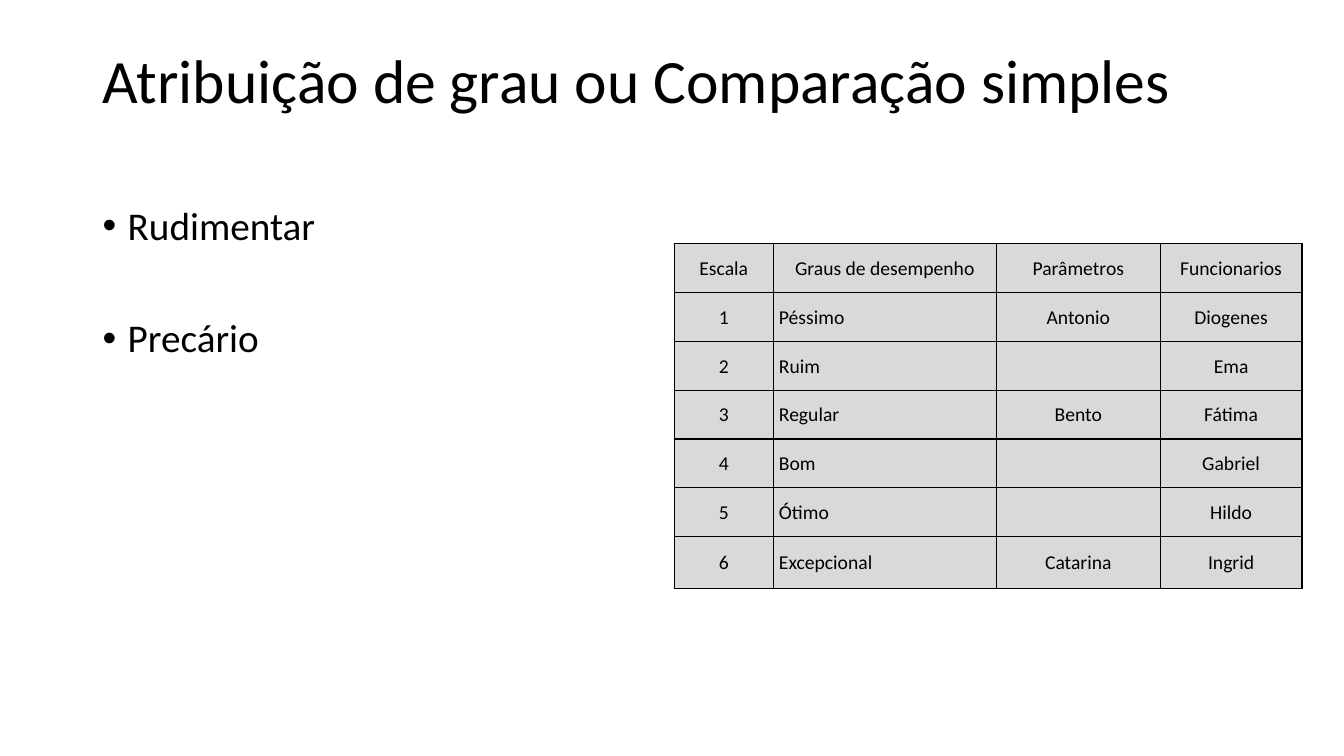
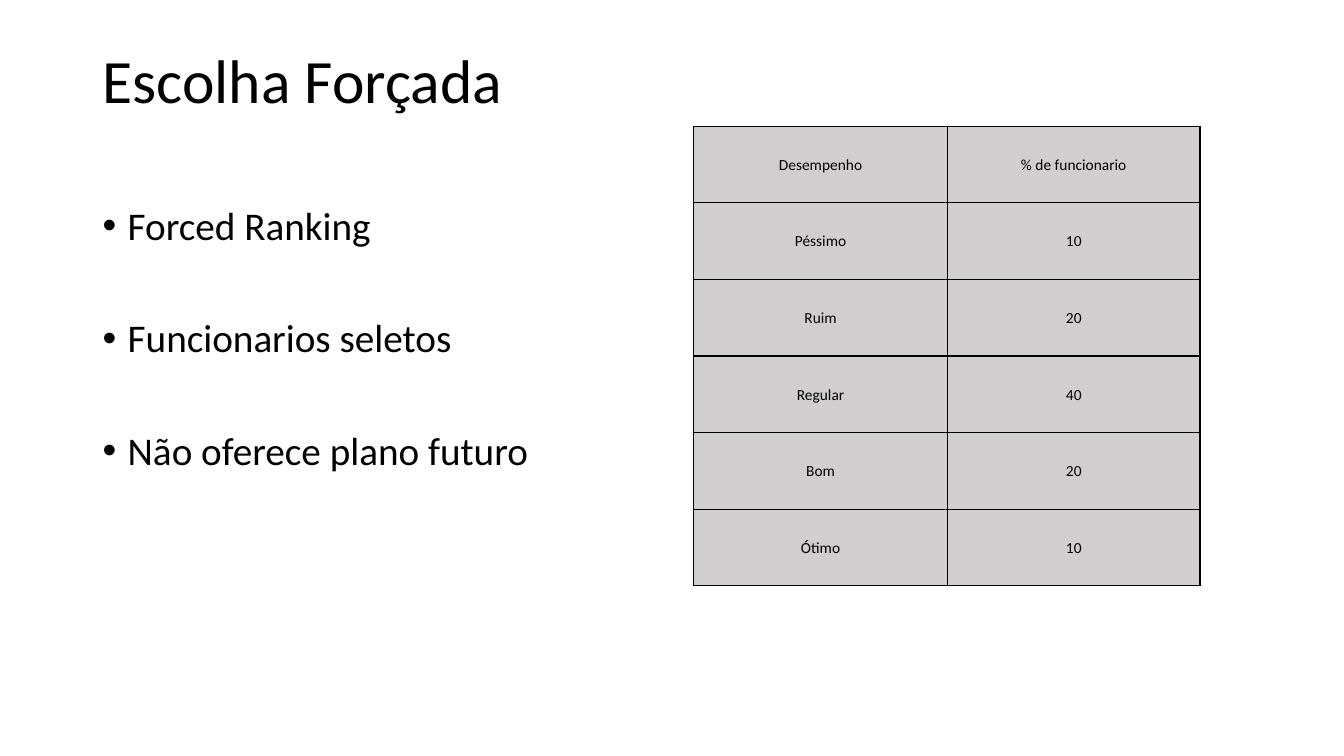
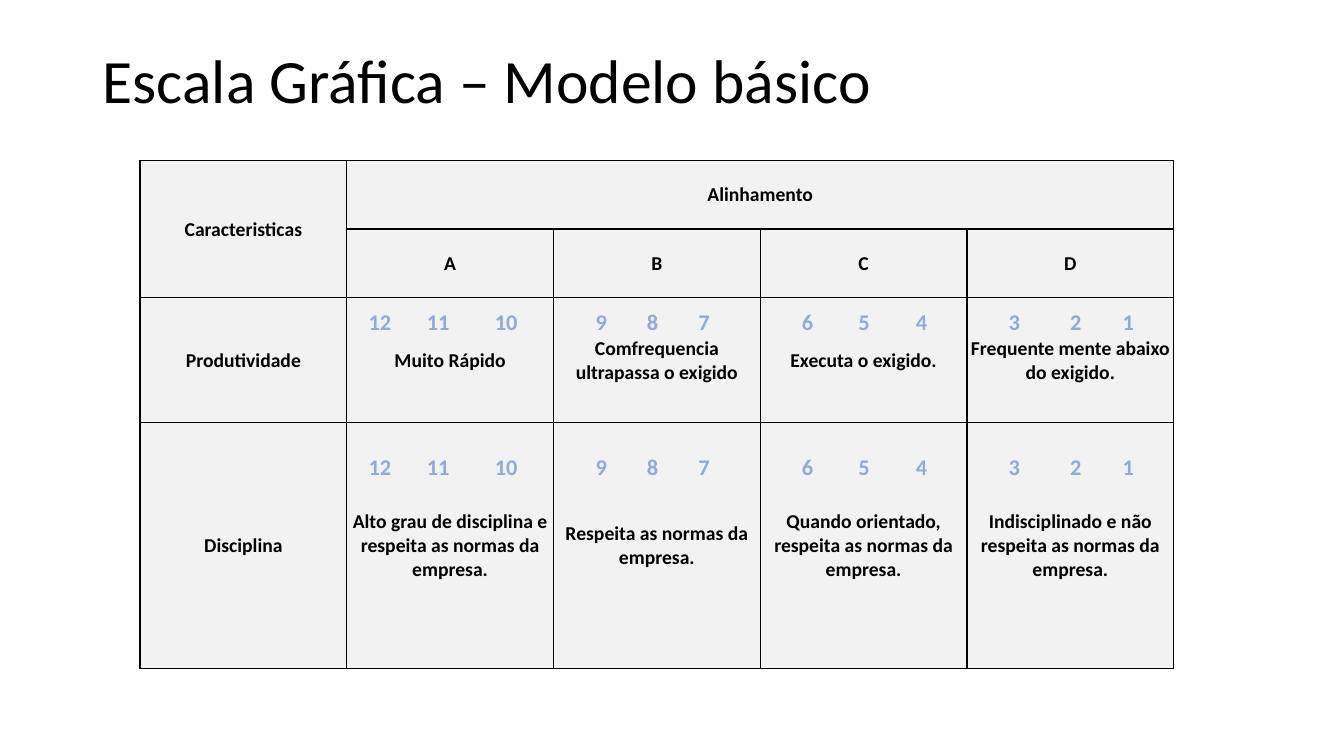
from lxml.etree import SubElement
from pptx import Presentation
from pptx.dml.color import RGBColor
from pptx.enum.text import MSO_ANCHOR, PP_ALIGN
from pptx.oxml.ns import qn
from pptx.util import Cm, Pt

FONT = "Calibri"
COLORS = {"text": "000000", "border": "000000", "score": "8FAADC",
          "grades": "D9D9D9", "ranking": "D0CECE", "scale": "F2F2F2"}

# Boxes are left, top, width, height in cm
TITLE_BOX = (2.34, 1.02, 28.75, 2.16)
BODY_BOX = (2.34, 5.08, 29.21, 12.09)

SCORES = [str(n) for n in range(12, 0, -1)]
SCORE_TABS = [1.47, 3.18, 5.72, 7.01, 8.31, 10.92,
              12.34, 13.79, 16.13, 17.68, 19]
SCORE_LEFT, SCORE_WIDTH, SCORE_HEIGHT = 9.04, 19.81, 0.94

SLIDES = [
    {"title": "Atribuição de grau ou Comparação simples",
     "bullets": ["Rudimentar", "Precário"],
     "table": {
         "at": (16.99, 6.14), "cols": [2.5, 5.62, 4.13, 3.57],
         "heights": [1.23] * 6 + [1.3], "fill": "grades", "size": 14,
         "left_col": 1,
         "rows": [
             ("Escala", "Graus de desempenho", "Parâmetros", "Funcionarios"),
             ("1", "Péssimo", "Antonio", "Diogenes"),
             ("2", "Ruim", "", "Ema"),
             ("3", "Regular", "Bento", "Fátima"),
             ("4", "Bom", "", "Gabriel"),
             ("5", "Ótimo", "", "Hildo"),
             ("6", "Excepcional", "Catarina", "Ingrid")]}},
    {"title": "Escolha Forçada",
     "bullets": ["Forced Ranking", "Funcionarios seletos",
                 "Não oferece plano futuro"],
     "table": {
         "at": (17.48, 3.18), "cols": [6.4, 6.36],
         "heights": [1.93] * 6, "fill": "ranking", "size": 11,
         "rows": [
             ("Desempenho", "% de funcionario"),
             ("Péssimo", "10"), ("Ruim", "20"), ("Regular", "40"),
             ("Bom", "20"), ("Ótimo", "10")]}},
    {"title": "Escala Gráfica – Modelo básico",
     "table": {
         "at": (3.53, 4.04), "cols": [5.21] * 5,
         "heights": [1.73, 1.73, 3.14, 6.2], "fill": "scale", "size": 14,
         "bold": True, "merges": [(0, 0, 1, 0), (0, 1, 0, 4)],
         "rows": [
             ("Caracteristicas", "Alinhamento", "", "", ""),
             ("", "A", "B", "C", "D"),
             ("Produtividade", "Muito Rápido",
              "Comfrequencia ultrapassa o exigido", "Executa o exigido.",
              "Frequente mente abaixo do exigido."),
             ("Disciplina",
              "Alto grau de disciplina e respeita as normas da empresa.",
              "Respeita as normas da empresa.",
              "Quando orientado, respeita as normas da empresa.",
              "Indisciplinado e não respeita as normas da empresa.")]},
     "score_tops": [7.65, 11.3]},
]


def rgb(name):
    """Return a palette colour."""
    return RGBColor.from_string(COLORS[name])


def write(p, text, size=14, color="text", bold=False, align=PP_ALIGN.LEFT,
          spacing=None, before=None):
    """Put formatted text in a paragraph."""
    p.alignment = align
    p.line_spacing = spacing
    if before is not None:
        p.space_before = Pt(before)
    r = p.add_run()
    r.text = text
    r.font.name, r.font.size, r.font.bold = FONT, Pt(size), bold
    r.font.color.rgb = rgb(color)


def add_box(s, box, anchor=MSO_ANCHOR.TOP):
    """Add a wrapping text box and return its text frame."""
    tf = s.shapes.add_textbox(*map(Cm, box)).text_frame
    tf.word_wrap = True
    tf.vertical_anchor = anchor
    return tf


def add_title(s, text):
    """Add the slide title."""
    tf = add_box(s, TITLE_BOX, MSO_ANCHOR.MIDDLE)
    write(tf.paragraphs[0], text, size=44, spacing=0.9)


def add_bullets(s, items):
    """Add the widely spaced bullet list."""
    tf = add_box(s, BODY_BOX)
    for i, item in enumerate(items):
        p = tf.add_paragraph() if i else tf.paragraphs[0]
        write(p, item, size=28, spacing=0.9, before=50 if i else 10)
        pPr = p._p.get_or_add_pPr()
        pPr.set("marL", str(Cm(0.63)))
        pPr.set("indent", str(-Cm(0.63)))
        SubElement(pPr, qn("a:buFont"), typeface="Arial")
        SubElement(pPr, qn("a:buChar"), char="•")


def add_scores(s, top):
    """Add one row of scores set on tab stops."""
    tf = add_box(s, (SCORE_LEFT, top, SCORE_WIDTH, SCORE_HEIGHT))
    tf.margin_right = 0
    p = tf.paragraphs[0]
    write(p, "\t".join(SCORES), size=16, color="score", bold=True)
    tabs = SubElement(p._p.get_or_add_pPr(), qn("a:tabLst"))
    for pos in SCORE_TABS:
        SubElement(tabs, qn("a:tab"), pos=str(Cm(pos)), algn="l")


def style_cell(cell, fill):
    """Set the borders, fill, margins and anchor of a cell."""
    tcPr = cell._tc.get_or_add_tcPr()
    for side in ("lnL", "lnR", "lnT", "lnB"):
        ln = SubElement(tcPr, qn(f"a:{side}"), w=str(Pt(1)))
        solid = SubElement(ln, qn("a:solidFill"))
        SubElement(solid, qn("a:srgbClr"), val=COLORS["border"])
    cell.fill.solid()
    cell.fill.fore_color.rgb = rgb(fill)
    cell.margin_left = cell.margin_right = cell.margin_top = Cm(0.03)
    cell.margin_bottom = 0
    cell.vertical_anchor = MSO_ANCHOR.MIDDLE


def add_grid(s, at, cols, heights, rows, fill, size, bold=False,
             left_col=None, merges=()):
    """Add a bordered table; left_col is left aligned below its header."""
    box = (*at, sum(cols), sum(heights))
    table = s.shapes.add_table(len(rows), len(cols), *map(Cm, box)).table
    table.first_row = table.horz_banding = False
    for col, width in zip(table.columns, cols):
        col.width = Cm(width)
    for row, height in zip(table.rows, heights):
        row.height = Cm(height)
    for i, row in enumerate(rows):
        for j, text in enumerate(row):
            cell = table.cell(i, j)
            style_cell(cell, fill)
            left = i > 0 and j == left_col
            if left:
                cell.margin_left = Cm(0.14)
            if text:
                write(cell.text_frame.paragraphs[0], text, size=size,
                      bold=bold,
                      align=PP_ALIGN.LEFT if left else PP_ALIGN.CENTER)
    for top, first, bottom, last in merges:
        table.cell(top, first).merge(table.cell(bottom, last))


prs = Presentation()
prs.slide_width, prs.slide_height = Cm(33.87), Cm(19.05)
for content in SLIDES:
    s = prs.slides.add_slide(prs.slide_layouts[6])
    add_title(s, content["title"])
    if "bullets" in content:
        add_bullets(s, content["bullets"])
    add_grid(s, **content["table"])
    for top in content.get("score_tops", []):
        add_scores(s, top)
prs.save("out.pptx")
